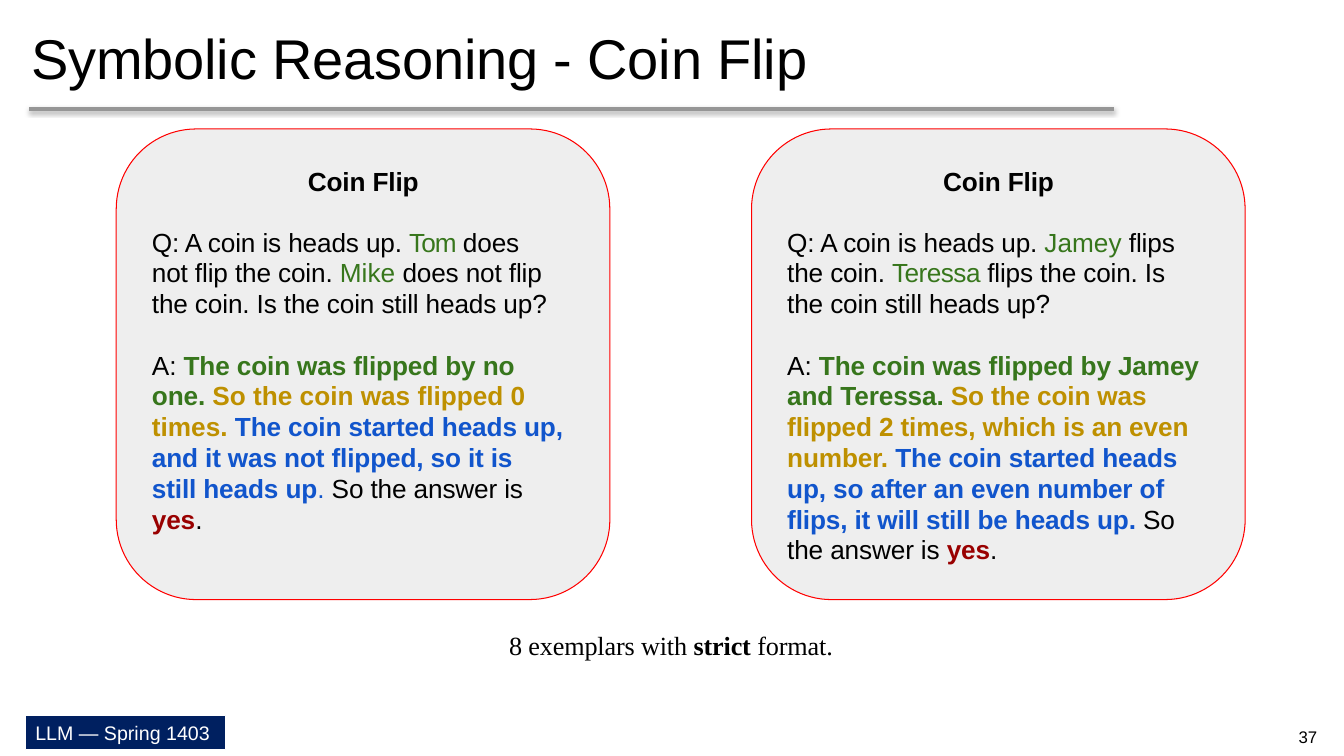
from dataclasses import dataclass

from lxml.etree import SubElement
from pptx import Presentation
from pptx.dml.color import RGBColor
from pptx.enum.shapes import MSO_CONNECTOR, MSO_SHAPE
from pptx.enum.text import MSO_ANCHOR, PP_ALIGN
from pptx.oxml.ns import qn
from pptx.util import Cm, Pt


@dataclass(frozen=True)
class Theme:
    """Colours, fonts and type sizes of the deck."""
    ink: str = "000000"
    white: str = "FFFFFF"
    navy: str = "002060"
    rule: str = "969696"
    card: str = "EEEEEE"
    border: str = "FF0000"
    green: str = "37761C"
    gold: str = "BE9000"
    blue: str = "1155CC"
    crimson: str = "990000"
    sans: str = "Arial"
    serif: str = "Times New Roman"
    title_size: float = 40
    body_size: float = 18.7
    footer_size: float = 14
    number_size: float = 12
    leading: float = 22


@dataclass(frozen=True)
class Span:
    """A stretch of text with its own look."""
    text: str
    color: str = Theme.ink
    bold: bool = False
    spacing: float = -0.1
    new_line: bool = False


class SlideBuilder:
    """Draws themed elements on the current slide."""

    def __init__(self, slide, theme):
        self.slide = slide
        self.theme = theme

    def fill_text(self, frame, spans, size, font=None, leading=None, align=PP_ALIGN.LEFT):
        """Fill a frame's first paragraph with formatted spans."""
        paragraph = frame.paragraphs[0]
        paragraph.alignment = align
        if leading:
            paragraph.line_spacing = Pt(leading)
        for span in spans:
            if span.new_line:
                paragraph.add_line_break()
            run = paragraph.add_run()
            run.text = span.text
            run.font.size = Pt(size)
            run.font.name = font or self.theme.sans
            run.font.bold = span.bold
            run.font.color.rgb = RGBColor.from_string(span.color)
            run.font._element.set("spc", str(round(span.spacing * 100)))

    def text(self, left, top, width, height, spans, size, anchor=MSO_ANCHOR.TOP, **style):
        """Add a wrapped text box."""
        box = self.slide.shapes.add_textbox(Cm(left), Cm(top), Cm(width), Cm(height))
        frame = box.text_frame
        frame.word_wrap = True
        frame.vertical_anchor = anchor
        frame.margin_left, frame.margin_top = Cm(0.05), Cm(0.07)
        frame.margin_right = frame.margin_bottom = 0
        self.fill_text(frame, spans, size, **style)

    def panel(self, kind, left, top, width, height, fill, line):
        """Add a filled and outlined shape."""
        panel = self.slide.shapes.add_shape(kind, Cm(left), Cm(top), Cm(width), Cm(height))
        panel.shadow.inherit = False
        panel.fill.solid()
        panel.fill.fore_color.rgb = RGBColor.from_string(fill)
        panel.line.color.rgb = RGBColor.from_string(line)
        panel.line.width = Pt(0.75)
        return panel

    def footer(self, label):
        """Add the course label at the bottom left."""
        theme = self.theme
        badge = self.panel(MSO_SHAPE.RECTANGLE, 0.64, 18.03, 5.05, 0.86, theme.navy, theme.white)
        badge.text_frame.word_wrap = True
        badge.text_frame.vertical_anchor = MSO_ANCHOR.TOP
        self.fill_text(badge.text_frame, [Span(label, theme.white, spacing=0)],
                       theme.footer_size)

    def title_rule(self):
        """Add the grey rule with a soft shadow under the title."""
        rule = self.slide.shapes.add_connector(
            MSO_CONNECTOR.STRAIGHT, Cm(0.74), Cm(2.74), Cm(28.07), Cm(2.74))
        rule.line.color.rgb = RGBColor.from_string(self.theme.rule)
        rule.line.width = Pt(3)
        effects = SubElement(rule._element.spPr, qn("a:effectLst"))
        shadow = SubElement(effects, qn("a:outerShdw"), blurRad=str(Pt(3.1)),
                            dist=str(Pt(1.8)), dir="5400000", rotWithShape="0")
        color = SubElement(shadow, qn("a:srgbClr"), val=self.theme.ink)
        SubElement(color, qn("a:alpha"), val="35000")

    def exemplar(self, left, heading, question, answer, answer_width):
        """Add a card with a heading, a question and an answer."""
        theme = self.theme
        card = self.panel(MSO_SHAPE.ROUNDED_RECTANGLE, left, 3.25, 12.44, 11.86,
                          theme.card, theme.border)
        card.adjustments[0] = 0.17
        self.text(left + 4.78, 4.09, 2.9, 0.84, [Span(heading, bold=True)], theme.body_size)
        self.text(left + 0.85, 5.64, 10.16, 2.44, question, theme.body_size,
                  leading=theme.leading)
        self.text(left + 0.85, 8.74, answer_width, 5, answer, theme.body_size,
                  leading=theme.leading)


def main():
    """Build the coin flip slide."""
    theme = Theme()
    deck = Presentation()
    deck.slide_width, deck.slide_height = Cm(33.87), Cm(19.05)
    builder = SlideBuilder(deck.slides.add_slide(deck.slide_layouts[6]), theme)

    builder.footer("LLM — Spring 1403")
    builder.title_rule()
    builder.text(0.74, 0.05, 32.38, 2.69, [Span("Symbolic Reasoning - Coin Flip")],
                 theme.title_size, anchor=MSO_ANCHOR.MIDDLE)

    exemplars = [
        ([Span("Q: A coin is heads up. "),
          Span("Tom ", theme.green, spacing=-0.7),
          Span("does not flip the coin. "),
          Span("Mike ", theme.green, spacing=0),
          Span("does not flip the coin. Is the coin still heads up?")],
         [Span("A: "),
          Span("The coin was flipped by no one. ", theme.green, True),
          Span("So the coin was flipped 0 times. ", theme.gold, True, 0),
          Span("The coin started heads up, and it was not flipped, so it is", theme.blue, True),
          Span("still heads up", theme.blue, True, new_line=True),
          Span(". ", theme.blue),
          Span("So the answer is "),
          Span("yes", theme.crimson, True),
          Span(".")],
         10.57),
        ([Span("Q: A coin is heads up. "),
          Span("Jamey ", theme.green, spacing=0),
          Span("flips the coin. "),
          Span("Teressa ", theme.green, spacing=-0.4),
          Span("flips the coin. Is the coin still heads up?")],
         [Span("A: "),
          Span("The coin was flipped by Jamey and Teressa. ", theme.green, True),
          Span("So the coin was flipped 2 times, which is an even number. ", theme.gold, True),
          Span("The coin started heads up, so after an even number of flips, "
               "it will still be heads up. ", theme.blue, True),
          Span("So the answer is "),
          Span("yes", theme.crimson, True),
          Span(".")],
         10.72),
    ]
    for column, (question, answer, answer_width) in enumerate(exemplars):
        builder.exemplar(2.93 + 16.01 * column, "Coin Flip", question, answer, answer_width)

    builder.text(12.78, 15.8, 8.5, 0.84,
                 [Span("8 exemplars with "), Span("strict ", bold=True), Span("format.")],
                 theme.body_size, font=theme.serif)
    builder.text(32, 18.03, 1.87, 1.02, [Span("37", spacing=0)], theme.number_size,
                 anchor=MSO_ANCHOR.MIDDLE, align=PP_ALIGN.CENTER)
    deck.save("out.pptx")


if __name__ == "__main__":
    main()
